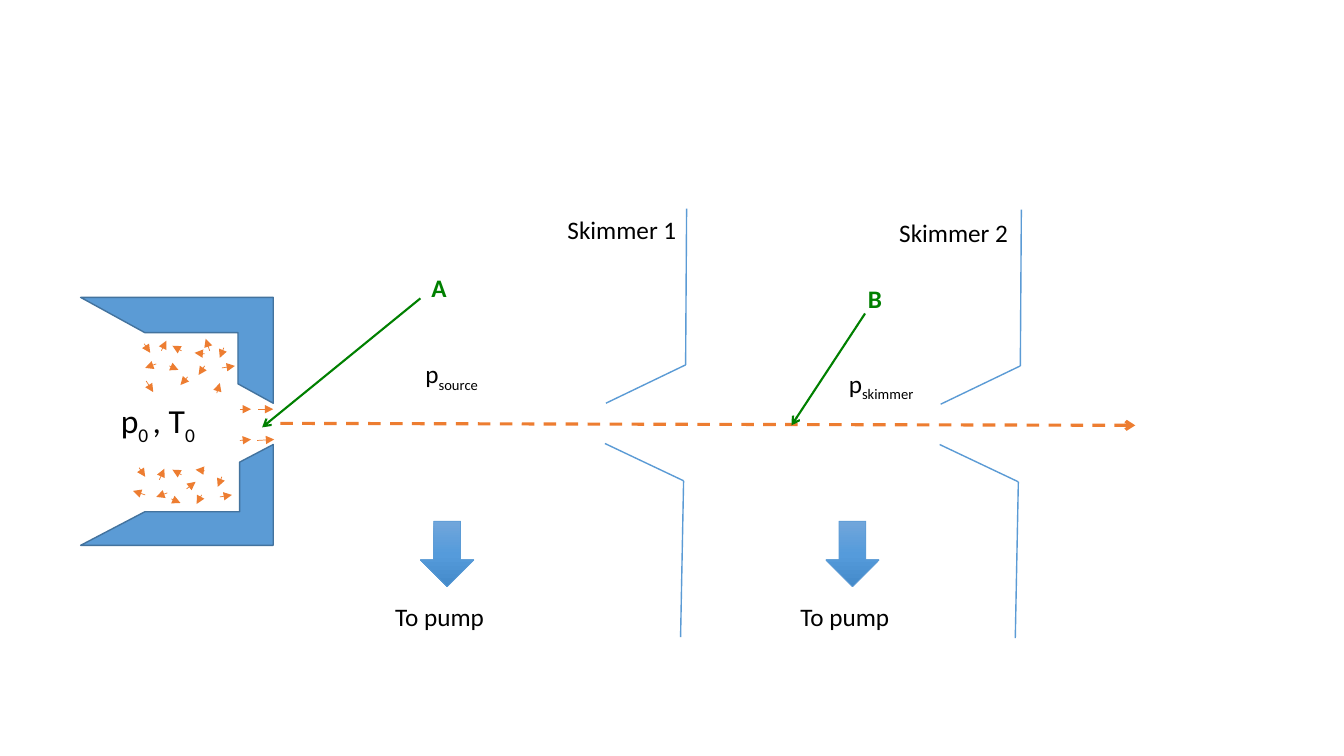
import copy
from dataclasses import dataclass

import pptx
import pptx.dml.color
import pptx.enum.dml
import pptx.enum.shapes
import pptx.enum.text
import pptx.oxml
import pptx.oxml.ns
import pptx.util

Inches = pptx.util.Inches
Pt = pptx.util.Pt
Preset = pptx.enum.shapes.MSO_SHAPE
Point = tuple[float, float]

COLORS = {
    "blue": "5B9BD5", "outline": "43739E", "orange": "ED7D31", "green": "008000",
    "black": "000000", "white": "FFFFFF",
    "pump_top": "71A6DB", "pump_middle": "559BDB", "pump_bottom": "448ACA",
}


@dataclass
class Stroke:
    color: str
    width: float
    head: str = ""
    dashed: bool = False


@dataclass
class Label:
    left: float
    top: float
    width: float
    text: str
    subscript: str = ""
    color: str = "black"
    bold: bool = False


MOLECULE = Stroke("orange", 0.5, "triangle")
BEAM = Stroke("orange", 2.25, "arrow", dashed=True)
POINTER = Stroke("green", 1.5, "arrow")
WALL = Stroke("blue", 1)

MOLECULES = [
    (1.44, 4.91, 1.32, 4.87), (1.85, 4.85, 1.94, 4.78), (1.66, 4.89, 1.55, 4.93),
    (2.08, 3.48, 2.04, 3.36), (1.8, 4.71, 1.71, 4.66), (2, 4.91, 1.95, 5),
    (1.7, 4.95, 1.79, 4.99), (1.38, 4.64, 1.44, 4.73), (1.58, 4.76, 1.63, 4.65),
    (2.18, 4.93, 2.3, 4.91), (2.2, 4.73, 2.16, 4.83), (2.03, 4.67, 1.94, 4.66),
    (1.55, 3.61, 1.44, 3.65), (1.8, 3.48, 1.71, 3.43), (2.03, 3.63, 1.97, 3.72),
    (1.68, 3.63, 1.77, 3.67), (1.43, 3.41, 1.49, 3.5), (1.6, 3.48, 1.65, 3.38),
    (2.2, 3.65, 2.33, 3.63), (2.22, 3.45, 2.18, 3.55), (2.03, 3.51, 1.93, 3.5),
    (2.15, 3.9, 2.18, 3.8), (1.86, 3.74, 1.79, 3.82), (1.45, 3.78, 1.52, 3.89),
    (2.38, 4.06, 2.49, 4.06), (2.56, 4.06, 2.71, 4.06),
    (2.38, 4.37, 2.49, 4.36), (2.55, 4.37, 2.72, 4.36),
]
SKIMMER_WALLS = [
    [(6.81, 2.07), (6.8, 3.62), (6.01, 4)],
    [(6.75, 6.32), (6.78, 4.77), (6, 4.4)],
]
SKIMMER_OFFSETS = [(0, 0), (3.32, 0.01)]
PUMP_LEFTS = [4.17, 8.19]
LABELS = [
    Label(4.18, 2.65, 0.36, "A", color="green", bold=True),
    Label(8.51, 2.76, 0.34, "B", color="green", bold=True),
    Label(4.12, 3.51, 0.79, "p", "source"),
    Label(8.32, 3.6, 0.93, "p", "skimmer"),
    Label(5.53, 2.08, 1.29, "Skimmer 1"),
    Label(8.82, 2.11, 1.29, "Skimmer 2"),
]


def rgb(name: str) -> pptx.dml.color.RGBColor:
    return pptx.dml.color.RGBColor.from_string(COLORS[name])


def add_line(page, start: Point, end: Point, stroke: Stroke) -> None:
    connector = page.shapes.add_connector(
        pptx.enum.shapes.MSO_CONNECTOR.STRAIGHT, *map(Inches, start + end))
    line = connector.line
    line.color.rgb = rgb(stroke.color)
    line.width = Pt(stroke.width)
    if stroke.dashed:
        line.dash_style = pptx.enum.dml.MSO_LINE.DASH
    properties = connector._element.spPr
    if stroke.head:
        outline = properties.find(pptx.oxml.ns.qn("a:ln"))
        tail = pptx.oxml.parse_xml(
            f'<a:tailEnd {pptx.oxml.ns.nsdecls("a")} type="{stroke.head}"/>')
        outline.append(tail)
    properties.append(pptx.oxml.parse_xml(f'<a:effectLst {pptx.oxml.ns.nsdecls("a")}/>'))


def add_preset(page, preset, left: float, top: float, width: float, height: float,
               outline: str, line_width: float):
    shape = page.shapes.add_shape(preset, *map(Inches, (left, top, width, height)))
    shape.shadow.inherit = False
    shape.line.color.rgb = rgb(outline)
    shape.line.width = Pt(line_width)
    return shape


def write(box, spans: list[tuple[str, bool]], size: float, color: str, bold: bool = False) -> None:
    frame = box.text_frame
    frame.word_wrap = False
    frame.auto_size = pptx.enum.text.MSO_AUTO_SIZE.SHAPE_TO_FIT_TEXT
    para = frame.paragraphs[0]
    para.alignment = pptx.enum.text.PP_ALIGN.LEFT
    para.font.name = "Calibri"
    para.font.size = Pt(size)
    para.font.bold = bold
    para.font.color.rgb = rgb(color)
    for text, lowered in spans:
        span = para.add_run()
        span.text = text
        span.font.color.rgb = rgb(color)
        if lowered:
            span.font._element.set("baseline", "-25000")


def add_label(page, label: Label) -> None:
    box = page.shapes.add_textbox(*map(Inches, (label.left, label.top, label.width, 0.4)))
    spans = [(label.text, False)]
    if label.subscript:
        spans.append((label.subscript, True))
    write(box, spans, 18, label.color, label.bold)


def add_nozzle_half(page, top: float, height: float, flipped: bool) -> None:
    half = add_preset(page, Preset.HALF_FRAME, 0.8, top, 1.91, height, "outline", 1)
    half.fill.solid()
    half.fill.fore_color.rgb = rgb("blue")
    half.rotation = 180
    if flipped:
        half._element.spPr.xfrm.set("flipV", "1")


def add_pump(page, left: float) -> None:
    arrow = add_preset(page, Preset.DOWN_ARROW, left, 5.17, 0.53, 0.65, "blue", 0.5)
    arrow.fill.gradient()
    arrow.fill.gradient_angle = 270
    stop_list = arrow._element.spPr.find(".//" + pptx.oxml.ns.qn("a:gsLst"))
    stop_list.insert(1, copy.deepcopy(stop_list[0]))
    names = ["pump_top", "pump_middle", "pump_bottom"]
    for stop, name, position in zip(arrow.fill.gradient_stops, names, (0, 0.5, 1)):
        stop.color.rgb = rgb(name)
        stop.position = position
    add_label(page, Label(left - 0.35, 5.92, 1.11, "To pump"))


deck = pptx.Presentation()
deck.slide_width = Inches(13.33)
deck.slide_height = Inches(7.5)
page = deck.slides.add_slide(deck.slide_layouts[6])

reservoir = add_preset(page, Preset.RECTANGLE, 1.1, 3.95, 1.33, 0.5, "white", 0.75)
reservoir.fill.background()
write(reservoir, [("p", False), ("0 ", True), (", T", False), ("0 ", True)], 24, "black")
add_nozzle_half(page, 4.41, 1, flipped=False)
add_nozzle_half(page, 2.95, 1.05, flipped=True)

for x1, y1, x2, y2 in MOLECULES:
    add_line(page, (x1, y1), (x2, y2), MOLECULE)
for dx, dy in SKIMMER_OFFSETS:
    for wall in SKIMMER_WALLS:
        corners = [(x + dx, y + dy) for x, y in wall]
        for start, end in zip(corners, corners[1:]):
            add_line(page, start, end, WALL)

add_line(page, (2.78, 4.2), (11.26, 4.22), BEAM)
add_line(page, (4.17, 2.96), (2.6, 4.24), POINTER)
add_line(page, (8.58, 3.11), (7.85, 4.22), POINTER)
for label in LABELS:
    add_label(page, label)
for left in PUMP_LEFTS:
    add_pump(page, left)

deck.save("out.pptx")
